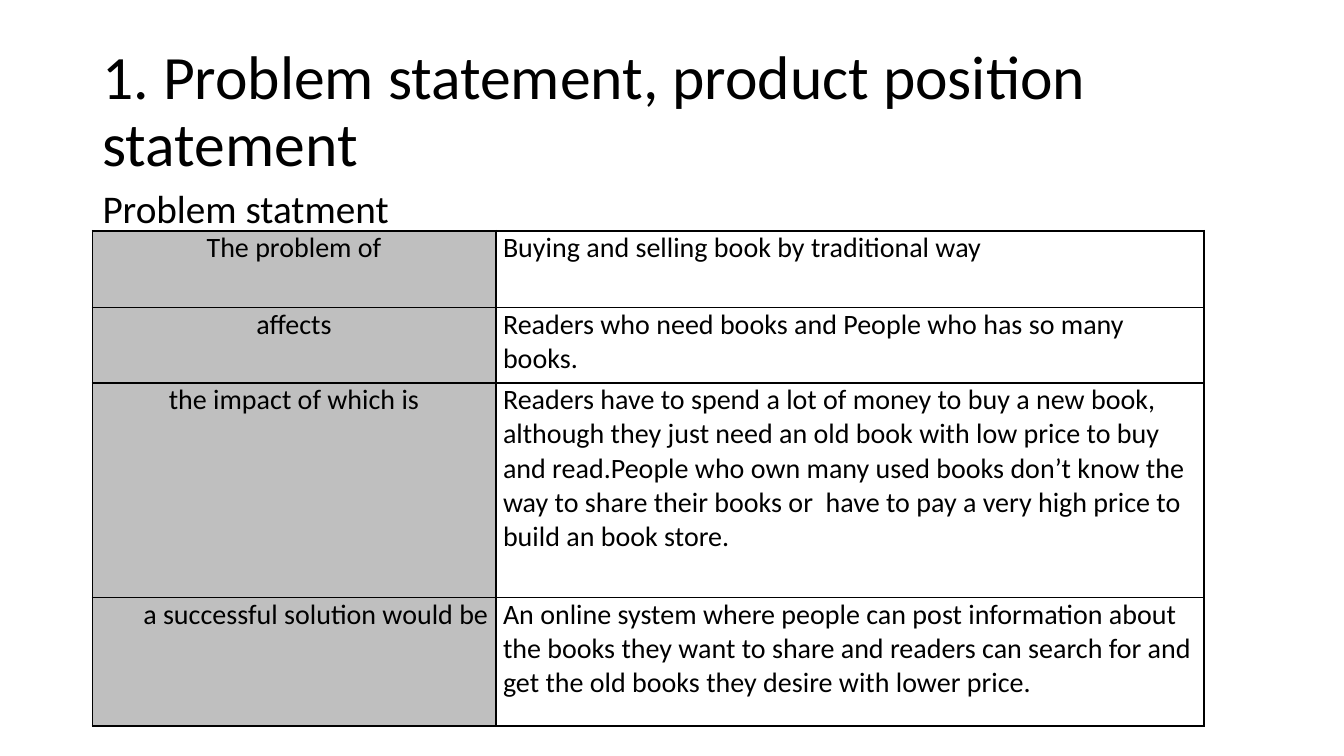
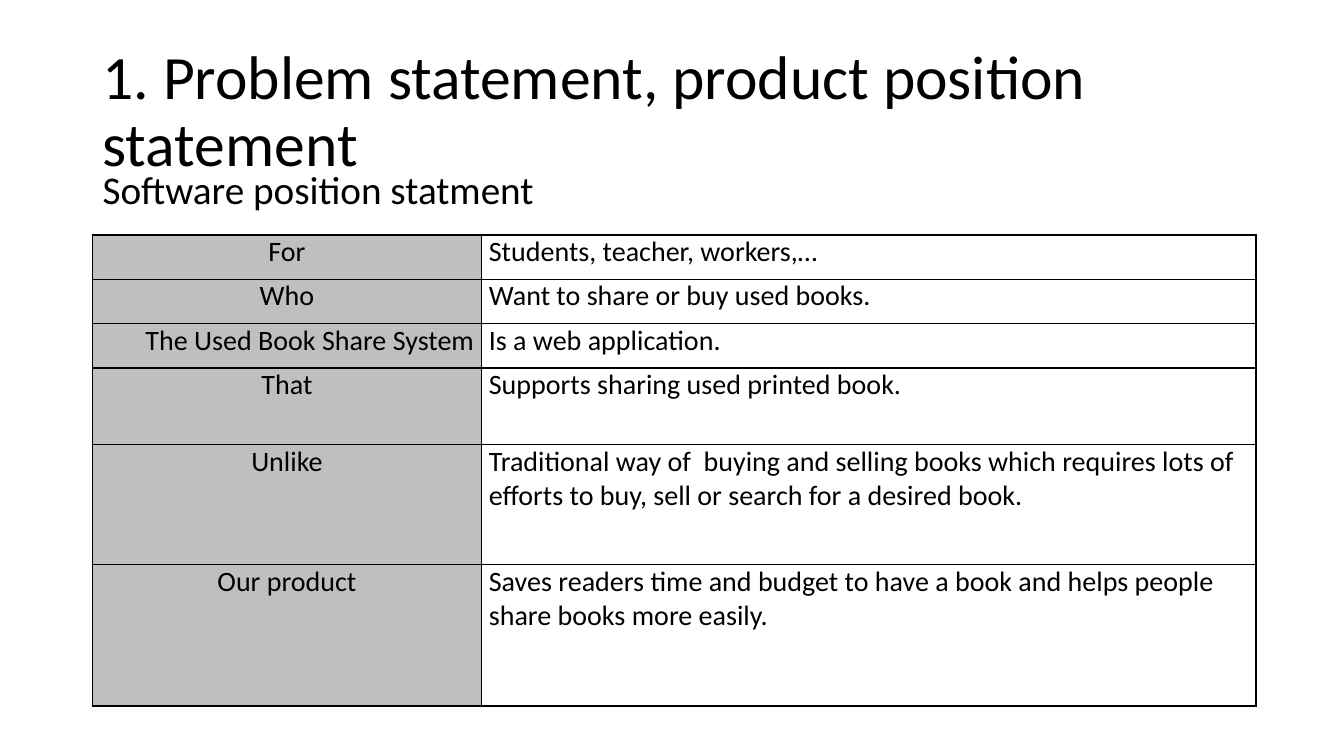
from dataclasses import dataclass

from lxml import etree
from pptx import Presentation
from pptx.dml import color
from pptx.enum import text
from pptx.oxml import ns
from pptx.util import Inches, Pt

WIDE, HIGH = Inches(13.33), Inches(7.5)
FONT, INK, GREY = "Calibri", "000000", "BFBFBF"
TITLE = "1. Problem statement, product position statement"
LEFT, SPAN = 6.88, 86.25
THICK, THIN = 1.5, 1
PAD = 0.55
MID, END, START = text.PP_ALIGN.CENTER, text.PP_ALIGN.RIGHT, text.PP_ALIGN.LEFT


@dataclass
class Row:
    """A table row: label, text, height as a percentage and label alignment."""
    label: str
    body: str
    high: float
    align: text.PP_ALIGN = MID


@dataclass
class Page:
    """A slide: its heading, and the places and rows of its table."""
    head: str
    head_top: float
    head_wide: float
    top: float
    cols: tuple[float, float]
    rows: list[Row]


PAGES = [
    Page("Problem statment", 24.4, 60.9, 30.53, (30, 52.73), [
        Row("The problem of", "Buying and selling book by traditional way", 10.13),
        Row("affects", "Readers who need books and People who has so many books.", 10),
        Row("the impact of which is",
            "Readers have to spend a lot of money to buy a new book, although they "
            "just need an old book with low price to buy and read.People who own "
            "many used books don’t know the way to share their books or  have to "
            "pay a very high price to build an book store.", 28.4),
        Row("a successful solution would be",
            "An online system where people can post information about the books "
            "they want to share and readers can search for and get the old books "
            "they desire with lower price.", 16.93, END),
    ]),
    Page("Software position statment", 21.87, SPAN, 31.07, (28.95, 57.6), [
        Row("For", "Students, teacher, workers,…", 5.87),
        Row("Who", "Want to share or buy used books.", 5.87),
        Row("The Used Book Share System", "Is a web application.", 5.87, END),
        Row("That", "Supports sharing used printed book.", 10.13),
        Row("Unlike",
            "Traditional way of  buying and selling books which requires lots of  "
            "efforts to buy, sell or search for a desired book.", 15.87),
        Row("Our product",
            "Saves readers time and budget to have a book and helps people share "
            "books more easily.", 18.67),
    ]),
]


def across(share: float) -> int:
    """Turn a percentage of the slide's width into a length."""
    return round(WIDE * share / 100)


def down(share: float) -> int:
    """Turn a percentage of the slide's height into a length."""
    return round(HIGH * share / 100)


def paint(target, tone: str) -> None:
    """Set a solid hex colour on a fill, or a hex colour on a font."""
    if hasattr(target, "solid"):
        target.solid()
        target.fore_color.rgb = color.RGBColor.from_string(tone)
    else:
        target.color.rgb = color.RGBColor.from_string(tone)


def write(frame, words: str, size: float, align=START, line: float = 1,
          before: float = 0) -> None:
    """Put one formatted paragraph in a text frame."""
    para = frame.paragraphs[0]
    para.alignment, para.line_spacing = align, line
    para.space_before = Pt(before)
    run = para.add_run()
    run.text = words
    run.font.name, run.font.size = FONT, Pt(size)
    paint(run.font, INK)


def place(holder, top: float, wide: float, high: float, anchor) -> None:
    """Move a placeholder and fix how its text sits."""
    holder.left, holder.top = across(LEFT), down(top)
    holder.width, holder.height = across(wide), down(high)
    frame = holder.text_frame
    frame.word_wrap, frame.auto_size = True, text.MSO_AUTO_SIZE.NONE
    frame.vertical_anchor = anchor


def plain(frame) -> None:
    """Take the bullet and indent off the first paragraph."""
    props = frame.paragraphs[0]._p.get_or_add_pPr()
    props.set("marL", "0")
    props.set("indent", "0")
    etree.SubElement(props, ns.qn("a:buNone"))


def edge(cell, **widths: float) -> None:
    """Rule the sides of an unfilled cell, given in the order L, R, T, B."""
    props = cell._tc.get_or_add_tcPr()
    for side, width in widths.items():
        line = etree.SubElement(props, ns.qn(f"a:ln{side}"), w=str(Pt(width)))
        fill = etree.SubElement(line, ns.qn("a:solidFill"))
        etree.SubElement(fill, ns.qn("a:srgbClr"), val=INK)


def grid(slide, page: Page) -> None:
    """Draw the two-column table with grey labels."""
    frame = slide.shapes.add_table(
        len(page.rows), len(page.cols), across(LEFT), down(page.top),
        across(sum(page.cols)), down(sum(row.high for row in page.rows)))
    table = frame.table
    table.first_row = table.horz_banding = False
    for col, wide in zip(table.columns, page.cols):
        col.width = across(wide)
    last = len(page.rows) - 1
    for i, row in enumerate(page.rows):
        table.rows[i].height = down(row.high)
        for j, (words, align) in enumerate(
                ((row.label, row.align), (row.body, START))):
            cell = table.cell(i, j)
            cell.margin_left = cell.margin_right = across(PAD)
            cell.margin_top = cell.margin_bottom = 0
            edge(cell, L=THICK, R=THICK, T=THIN if i else THICK,
                 B=THIN if i < last else THICK)
            if j:
                cell.fill.background()
            else:
                paint(cell.fill, GREY)
            write(cell.text_frame, words, 20, align)


def build(deck, page: Page) -> None:
    """Add one slide with title, heading and table."""
    slide = deck.slides.add_slide(deck.slide_layouts[1])
    title, head = slide.shapes.title, slide.placeholders[1]
    place(title, 5.32, SPAN, 19.33, text.MSO_ANCHOR.MIDDLE)
    write(title.text_frame, TITLE, 44, line=0.9)
    place(head, page.head_top, page.head_wide, 9.2, text.MSO_ANCHOR.TOP)
    write(head.text_frame, page.head, 28, line=0.9, before=10)
    plain(head.text_frame)
    grid(slide, page)


def main() -> None:
    """Build and save the deck."""
    deck = Presentation()
    deck.slide_width, deck.slide_height = WIDE, HIGH
    for page in PAGES:
        build(deck, page)
    deck.save("out.pptx")


main()
